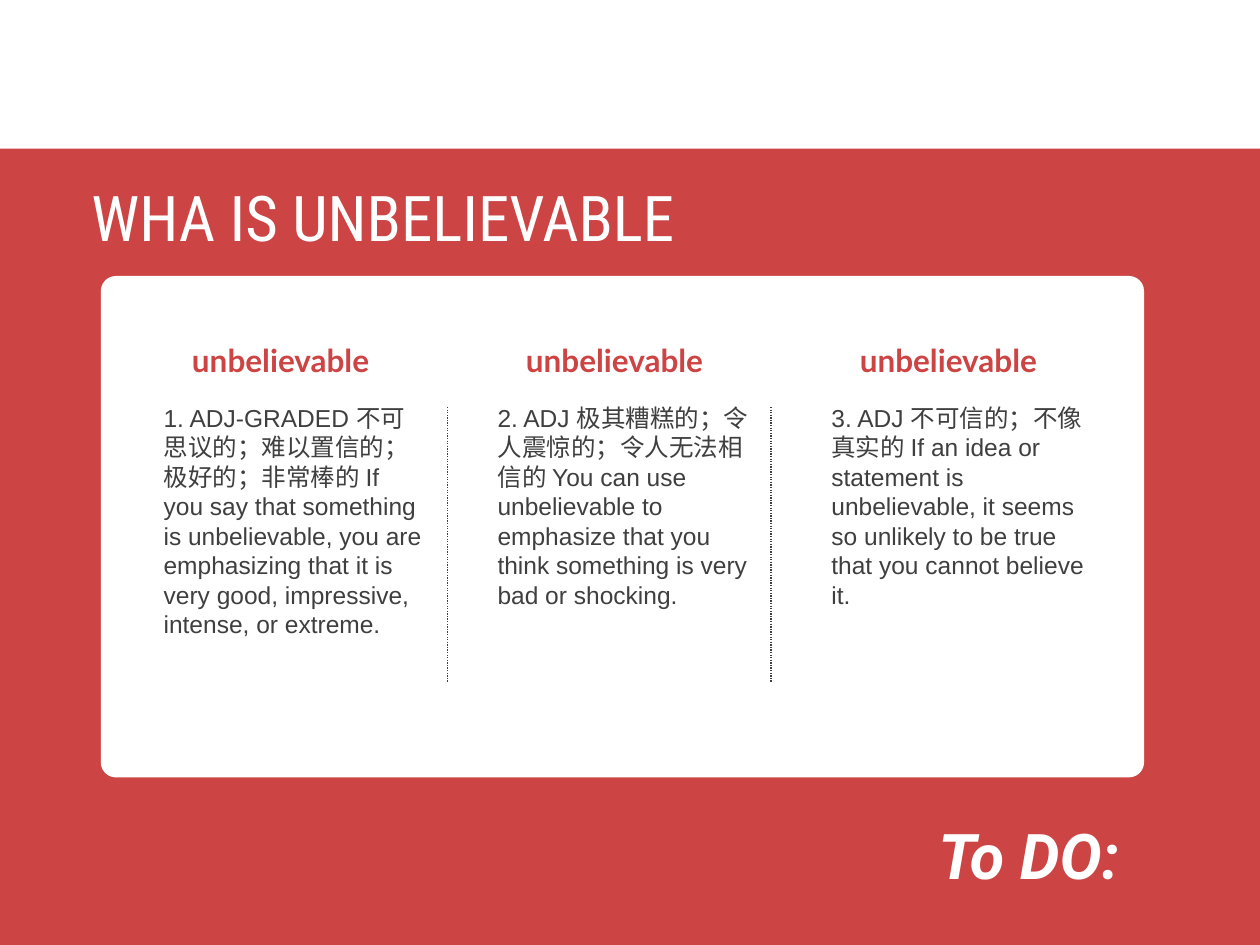
from dataclasses import dataclass

from lxml import etree
from pptx import Presentation
from pptx.dml.color import RGBColor
from pptx.enum import dml, shapes, text
from pptx.oxml import ns
from pptx.util import Inches, Pt

COLUMNS, ROWS = 100, 75
CELL = Inches(0.1)


@dataclass(frozen=True)
class Theme:
    red: RGBColor = RGBColor.from_string("CC4444")
    white: RGBColor = RGBColor.from_string("FFFFFF")
    ink: RGBColor = RGBColor.from_string("3F3F3F")
    display_size: int = 36
    heading_size: int = 18
    body_size: int = 14
    rule_width: float = 0.75


@dataclass(frozen=True)
class Box:
    left: float
    top: float
    width: float
    height: float

    def inside(self, left, top, width, height):
        return Box(self.left + left, self.top + top, width, height)

    def lengths(self):
        return [round(n * CELL) for n in (self.left, self.top, self.width, self.height)]


THEME = Theme()
TITLE = dict(name="Roboto Condensed", size=Pt(THEME.display_size), color=THEME.white)
HEADING = dict(name="Lato", size=Pt(THEME.heading_size), bold=True, color=THEME.red)
BODY = dict(name="Arial", size=Pt(THEME.body_size), color=THEME.ink)
CLOSING = dict(name="Roboto", size=Pt(THEME.display_size), bold=True,
               italic=True, color=THEME.white)

WORD = "unbelievable"
MEANINGS = [
    ("1. ADJ-GRADED 不可思议的；难以置信的；极好的；非常棒的 If you say that something is "
     "unbelievable, you are emphasizing that it is very good, impressive, intense, or extreme.", 19.7),
    ("2. ADJ 极其糟糕的；令人震惊的；令人无法相信的 You can use unbelievable to emphasize "
     "that you think something is very bad or shocking.", 17.4),
    ("3. ADJ 不可信的；不像真实的 If an idea or statement is unbelievable, it seems so "
     "unlikely to be true that you cannot believe it.", 17.4),
]


def add_panel(page, box, kind, color):
    panel = page.shapes.add_shape(kind, *box.lengths())
    panel.shadow.inherit = False
    panel.fill.solid()
    panel.fill.fore_color.rgb = color
    panel.line.fill.background()
    return panel


def add_text(parent, box, words, style, wrap=False, align=text.PP_ALIGN.LEFT):
    frame = parent.shapes.add_textbox(*box.lengths()).text_frame
    frame.word_wrap = wrap
    frame.auto_size = text.MSO_AUTO_SIZE.SHAPE_TO_FIT_TEXT
    para = frame.paragraphs[0]
    para.alignment = align
    span = para.add_run()
    span.text = words
    for key, value in style.items():
        if key == "color":
            span.font.color.rgb = value
        else:
            setattr(span.font, key, value)


def add_divider(page, box):
    left, top, width, height = box.lengths()
    line = page.shapes.add_connector(
        shapes.MSO_CONNECTOR.STRAIGHT, left, top, left + width, top + height)
    line.line.color.rgb = THEME.ink
    line.line.width = Pt(THEME.rule_width)
    line.line.dash_style = dml.MSO_LINE.ROUND_DOT
    etree.SubElement(line._element.spPr, ns.qn("a:effectLst"))


def add_meaning(page, box, meaning):
    group = page.shapes.add_group_shape()
    add_text(group, box.inside(0, 4.9, box.width, box.height - 4.9), meaning, BODY, wrap=True)
    add_text(group, box.inside(2.25, 0, 18.05, 4), WORD, HEADING)


def add_card(page, box):
    card = add_panel(page, box, shapes.MSO_SHAPE.ROUNDED_RECTANGLE, THEME.white)
    card.adjustments[0] = 0.03
    for index, (meaning, height) in enumerate(MEANINGS):
        add_meaning(page, box.inside(4 + 26.5 * index, 4.7, 22.5, 4.9 + height), meaning)
    for index in range(len(MEANINGS) - 1):
        add_divider(page, box.inside(27.5 + 25.7 * index, 10.4, 0, 21.9))


def add_definition_page(page, box):
    add_panel(page, box, shapes.MSO_SHAPE.RECTANGLE, THEME.red)
    add_card(page, box.inside(8, 10.1, 82.8, 39.8))
    add_text(page, box.inside(2.8, 1.9, 55.2, 7), "WHA IS UNBELIEVABLE", TITLE,
             align=text.PP_ALIGN.CENTER)
    add_text(page, box.inside(73.5, 52.5, 17.3, 7), "To DO:", CLOSING)


def main():
    deck = Presentation()
    deck.slide_width = COLUMNS * CELL
    deck.slide_height = ROWS * CELL
    page = deck.slides.add_slide(deck.slide_layouts[6])
    add_definition_page(page, Box(0, 11.8, COLUMNS, ROWS - 11.8))
    deck.save("out.pptx")


if __name__ == "__main__":
    main()
